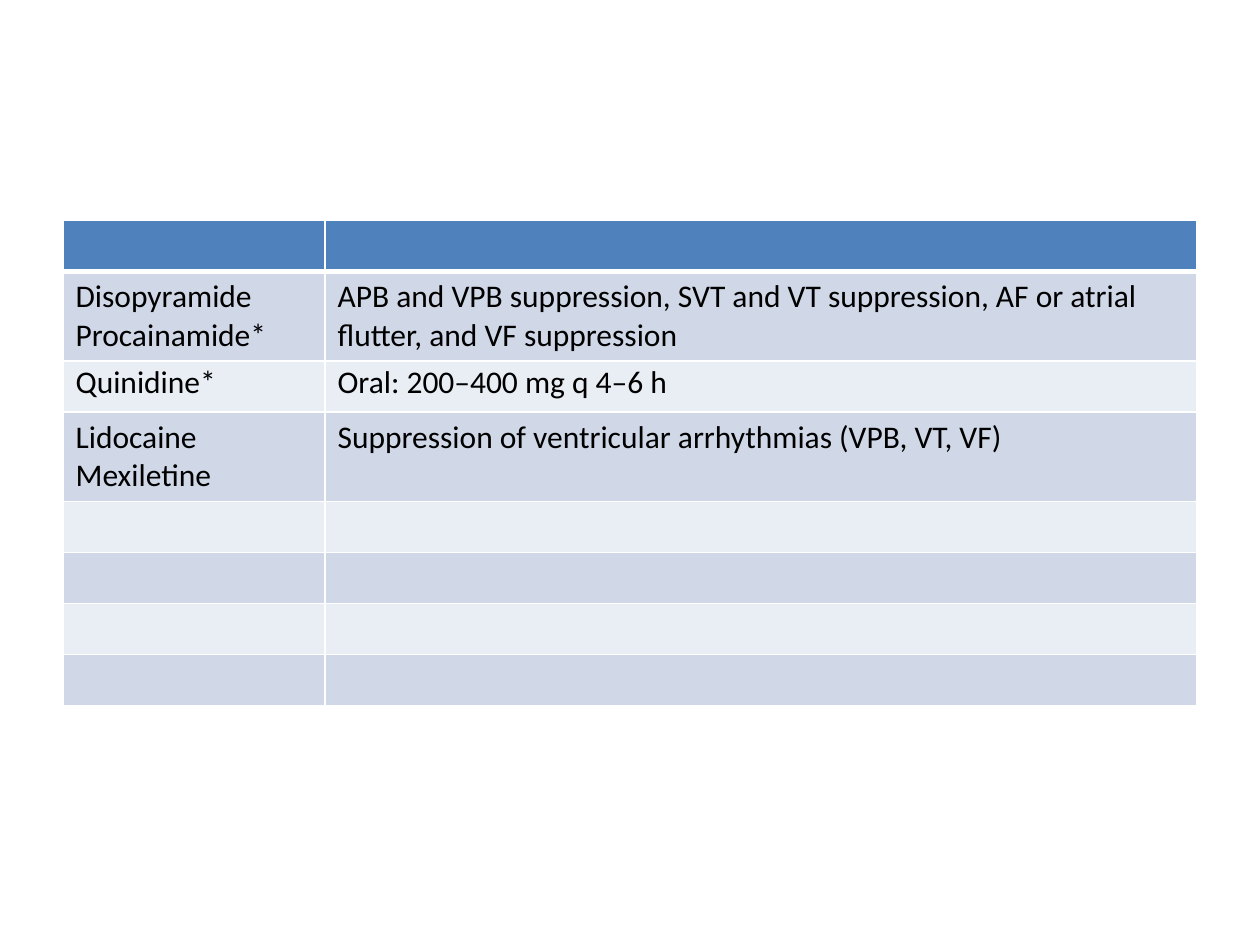
from dataclasses import dataclass

from lxml import etree
from pptx import Presentation
from pptx.dml.color import RGBColor
from pptx.oxml import ns
from pptx.util import Pt


@dataclass(frozen=True)
class Theme:
    """Colours, font and sizes of the slide."""
    font: str = "Calibri"
    size: float = 18
    ink: str = "000000"
    header: str = "4F81BD"
    bands: tuple = ("D0D8E8", "E9EDF4")
    rule: str = "FFFFFF"
    thin: float = 1
    thick: float = 3


THEME = Theme()
ROW_COUNT = 8
COLUMN_WIDTHS = (149.75, 498.25)
LINE_HEIGHT, CELL_PADDING = 22, 7
DRUG_USES = [
    ("", ""),
    ("Disopyramide\nProcainamide*",
     "APB and VPB suppression, SVT and VT suppression, AF or atrial flutter, and VF suppression"),
    ("Quinidine*", "Oral: 200–400 mg q 4–6 h"),
    ("Lidocaine\nMexiletine", "Suppression of ventricular arrhythmias (VPB, VT, VF)"),
]


def write_text(frame, content, font, size, color):
    """Fill a text frame with one formatted paragraph per line."""
    frame.text = content
    for paragraph in frame.paragraphs:
        for run in paragraph.runs:
            run.font.name = font
            run.font.size = Pt(size)
            run.font.color.rgb = RGBColor.from_string(color)


def draw_borders(cell, color, widths):
    """Rule the left, right, top and bottom edges of a cell."""
    properties = cell._tc.get_or_add_tcPr()
    for side, width in zip("LRTB", widths):
        edge = etree.SubElement(properties, ns.qn(f"a:ln{side}"), w=str(Pt(width)))
        fill = etree.SubElement(edge, ns.qn("a:solidFill"))
        etree.SubElement(fill, ns.qn("a:srgbClr"), val=color)


def add_drug_table(slide, left, top, width, height):
    """Place the drug table in the given box."""
    table = slide.shapes.add_table(ROW_COUNT, len(COLUMN_WIDTHS),
                                   Pt(left), Pt(top), Pt(width), Pt(height)).table
    for column, column_width in zip(table.columns, COLUMN_WIDTHS):
        column.width = Pt(column_width)
    drug_rows = DRUG_USES + [("", "")] * (ROW_COUNT - len(DRUG_USES))
    for index, (row, entries) in enumerate(zip(table.rows, drug_rows)):
        lines = entries[0].count("\n") + 1
        row.height = Pt(LINE_HEIGHT * lines + CELL_PADDING)
        background = THEME.bands[(index - 1) % 2] if index else THEME.header
        above = THEME.thick if index == 1 else THEME.thin
        below = THEME.thick if index == 0 else THEME.thin
        for cell, entry in zip(row.cells, entries):
            write_text(cell.text_frame, entry, THEME.font, THEME.size, THEME.ink)
            draw_borders(cell, THEME.rule, (THEME.thin, THEME.thin, above, below))
            cell.fill.solid()
            cell.fill.fore_color.rgb = RGBColor.from_string(background)
            if entry and lines == 1:
                cell.margin_top = cell.margin_bottom = Pt(1.5)


def main():
    """Build and save the slide."""
    deck = Presentation()
    deck.slide_width, deck.slide_height = Pt(720), Pt(540)
    slide = deck.slides.add_slide(deck.slide_layouts.get_by_name("Blank"))
    add_drug_table(slide, 36, 126, sum(COLUMN_WIDTHS), 276)
    deck.save("out.pptx")


if __name__ == "__main__":
    main()
